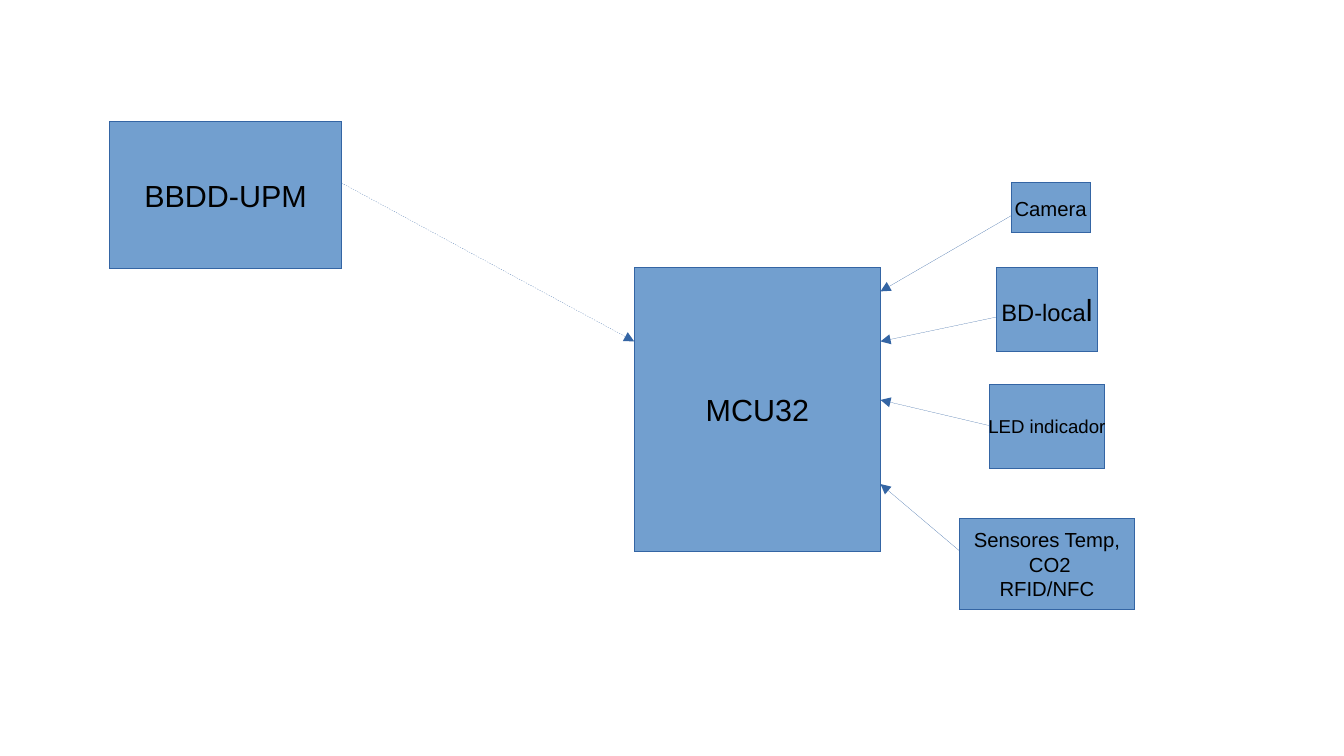
"""Block diagram of a controller linked to its peripherals and a database."""
from lxml.etree import SubElement
from pptx import Presentation
from pptx.dml.color import RGBColor
from pptx.enum.dml import MSO_LINE
from pptx.enum.shapes import MSO_CONNECTOR, MSO_SHAPE
from pptx.enum.text import MSO_ANCHOR, PP_ALIGN
from pptx.oxml.ns import qn
from pptx.util import Inches, Pt


def rgb(value):
    return RGBColor.from_string(value)


def add_text(paragraph, text, *, size, font, color):
    run = paragraph.add_run()
    run.text = text
    run.font.size = Pt(size)
    run.font.name = font
    run.font.color.rgb = rgb(color)


class Diagram:
    font = "Arial"
    ink = "000000"
    fill = "729FCF"
    outline = "3465A4"
    hairline = 0.01

    def __init__(self, slide):
        self.slide = slide

    def block(self, left, top, width, height, lines):
        box = self.slide.shapes.add_shape(
            MSO_SHAPE.RECTANGLE, Inches(left), Inches(top), Inches(width), Inches(height))
        box.shadow.inherit = False
        box.fill.solid()
        box.fill.fore_color.rgb = rgb(self.fill)
        self.stroke(box.line)
        frame = box.text_frame
        frame.word_wrap = False
        frame.vertical_anchor = MSO_ANCHOR.MIDDLE
        for index, runs in enumerate(lines):
            paragraph = frame.add_paragraph() if index else frame.paragraphs[0]
            paragraph.alignment = PP_ALIGN.CENTER
            for text, size in runs:
                add_text(paragraph, text, size=size, font=self.font, color=self.ink)

    def arrow(self, start, end, dash=None):
        link = self.slide.shapes.add_connector(
            MSO_CONNECTOR.STRAIGHT, *(Inches(value) for value in (*start, *end)))
        self.stroke(link.line)
        if dash:
            link.line.dash_style = dash
        SubElement(link.line._get_or_add_ln(), qn("a:tailEnd"), type="triangle")
        SubElement(link._element.spPr, qn("a:effectLst"))

    def stroke(self, line):
        line.color.rgb = rgb(self.outline)
        line.width = Pt(self.hairline)


def main():
    deck = Presentation()
    deck.slide_width, deck.slide_height = Inches(11.02), Inches(6.2)
    diagram = Diagram(deck.slides.add_slide(deck.slide_layouts[6]))

    board_left, board_width = 5.2, 2.02
    board_right = board_left + board_width
    diagram.block(board_left, 2.19, board_width, 2.33, [[("MCU32", 18)]])

    peripherals = [
        (8.29, 1.5, 0.65, 0.41, [[("Camera", 12)]], 1.77, 2.39),
        (8.17, 2.19, 0.83, 0.69, [[("BD-loca", 14), ("l", 18)]], 2.6, 2.8),
        (8.11, 3.15, 0.95, 0.69, [[("LED indicador", 11)]], 3.49, 3.28),
        (7.87, 4.25, 1.43, 0.75,
         [[("Sensores Temp,", 12)], [(" CO2", 12)], [("RFID/NFC", 12)]], 4.52, 3.97),
    ]
    for left, top, width, height, lines, exit_y, entry_y in peripherals:
        diagram.block(left, top, width, height, lines)
        diagram.arrow((left, exit_y), (board_right, entry_y))

    diagram.block(0.9, 1, 1.9, 1.2, [[("BBDD-UPM", 18)]])
    diagram.arrow((2.8, 1.5), (board_left, 2.8), dash=MSO_LINE.ROUND_DOT)

    deck.save("out.pptx")


if __name__ == "__main__":
    main()
